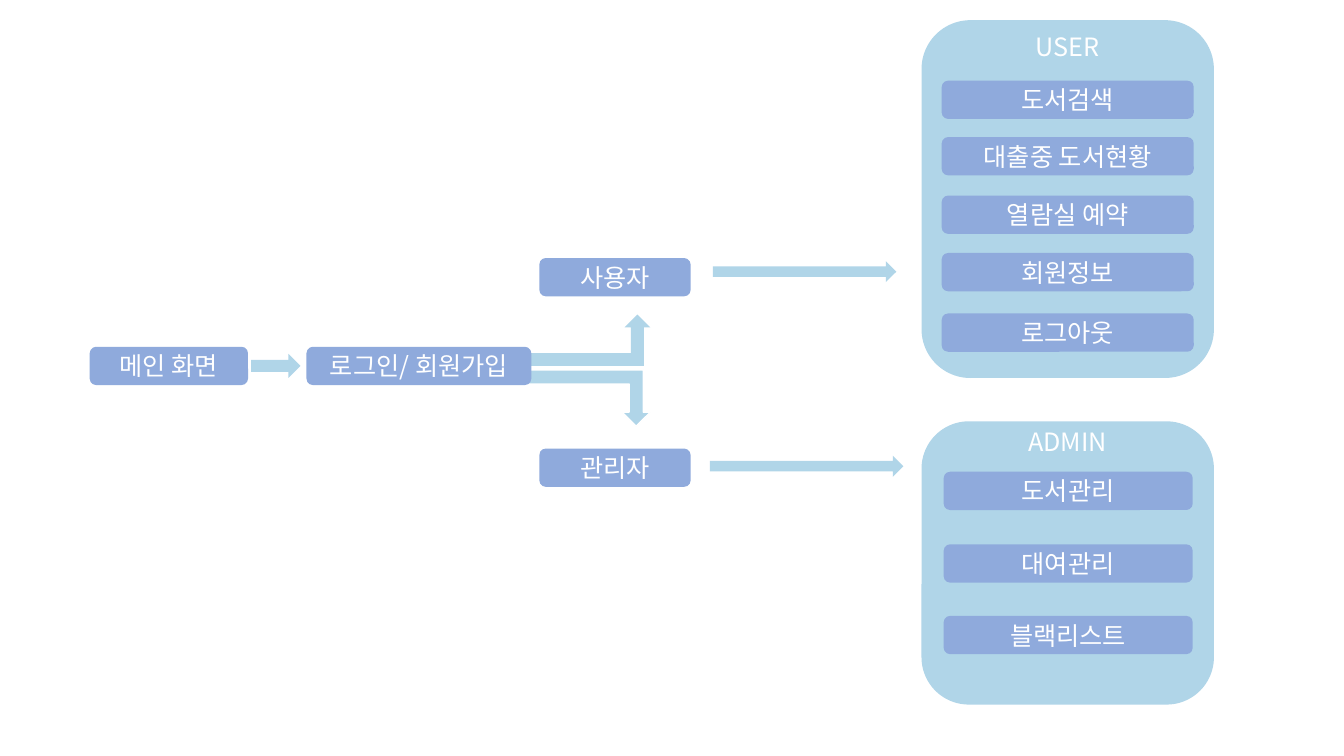
from pptx import Presentation
from pptx.dml.color import RGBColor
from pptx.enum.shapes import MSO_SHAPE as Preset
from pptx.enum.text import MSO_ANCHOR as Anchor, PP_ALIGN as Align
from pptx.util import Inches, Pt

FONT = "Noto Sans CJK KR"
COLORS = {"panel": "B0D5E8", "button": "8FAADC", "white": "FFFFFF"}
BUTTON_HEIGHT = 0.38
PANEL_LEFT, PANEL_WIDTH = 9.14, 2.9


def color(name):
    return RGBColor.from_string(COLORS[name])


def add_block(shapes, preset, box, fill, adjustments):
    block = shapes.add_shape(preset, *map(Inches, box))
    block.shadow.inherit = False
    block.fill.solid()
    block.fill.fore_color.rgb = color(fill)
    block.line.fill.background()
    for index, value in enumerate(adjustments):
        block.adjustments[index] = value
    return block


def write_label(shape, text):
    frame = shape.text_frame
    frame.word_wrap = True
    frame.vertical_anchor = Anchor.MIDDLE
    frame.margin_left = frame.margin_right = Inches(0.05)
    frame.margin_top = frame.margin_bottom = 0
    paragraph = frame.paragraphs[0]
    paragraph.alignment = Align.CENTER
    run = paragraph.add_run()
    run.text = text
    run.font.size = Pt(18)
    run.font.name = FONT
    run.font.color.rgb = color("white")
    # Hangul takes its typeface from the East Asian slot
    east_asian = run.font._element.makeelement(
        "{http://schemas.openxmlformats.org/drawingml/2006/main}ea", {"typeface": FONT})
    run.font._element.append(east_asian)


def add_button(shapes, text, left, top, width):
    box = (left, top, width, BUTTON_HEIGHT)
    button = add_block(shapes, Preset.ROUNDED_RECTANGLE, box, "button", [0.167])
    write_label(button, text)


def add_arrow(shapes, *box):
    add_block(shapes, Preset.RIGHT_ARROW, box, "panel", [0.5, 0.5])


def add_branch(shapes, top, height):
    box = (5.21, top, 1.24, height)
    return add_block(shapes, Preset.BENT_UP_ARROW, box, "panel", [0.25] * 3)


def add_panel(slide, title, top, height, title_top, buttons):
    """Draw a role's panel; each button is (text, left, top, width)."""
    shapes = slide.shapes.add_group_shape().shapes
    box = (PANEL_LEFT, top, PANEL_WIDTH, height)
    add_block(shapes, Preset.ROUNDED_RECTANGLE, box, "panel", [0.167])
    heading = shapes.add_textbox(*map(Inches, (PANEL_LEFT, title_top, PANEL_WIDTH, 0.36)))
    write_label(heading, title)
    for button in buttons:
        add_button(shapes, *button)


def main():
    prs = Presentation()
    prs.slide_width, prs.slide_height = Inches(13.33), Inches(7.5)
    slide = prs.slides.add_slide(prs.slide_layouts[6])
    shapes = slide.shapes

    # Branches from login to the two roles
    add_branch(shapes, 3.12, 0.51)
    admin_branch = add_branch(shapes, 3.67, 0.56)
    admin_branch._element.spPr.xfrm.set("flipV", "1")
    admin_branch.line.color.rgb = color("white")
    admin_branch.line.width = Pt(1)

    # Entry screens and roles
    for step in (
        ("메인 화면", 0.89, 3.44, 1.57),
        ("로그인/ 회원가입", 3.04, 3.44, 2.23),
        ("사용자", 5.35, 2.56, 1.5),
        ("관리자", 5.35, 4.45, 1.5),
    ):
        add_button(shapes, *step)

    # Menus of each role
    admin_menu = (("도서관리", 4.68), ("대여관리", 5.4), ("블랙리스트", 6.11))
    add_panel(slide, "ADMIN", 4.18, 2.81, 4.2,
              [(text, 9.36, top, 2.47) for text, top in admin_menu])
    user_menu = (("도서검색", 0.8), ("대출중 도서현황", 1.36), ("열람실 예약", 1.94),
                 ("회원정보", 2.51), ("로그아웃", 3.11))
    add_panel(slide, "USER", 0.2, 3.55, 0.28,
              [(text, 9.34, top, 2.5) for text, top in user_menu])

    # Straight arrows: to login, to the user menu, to the admin menu
    add_arrow(shapes, 2.49, 3.51, 0.49, 0.24)
    add_arrow(shapes, 7.07, 2.59, 1.82, 0.21)
    add_arrow(shapes, 7.04, 4.52, 1.92, 0.21)

    prs.save("out.pptx")


if __name__ == "__main__":
    main()
